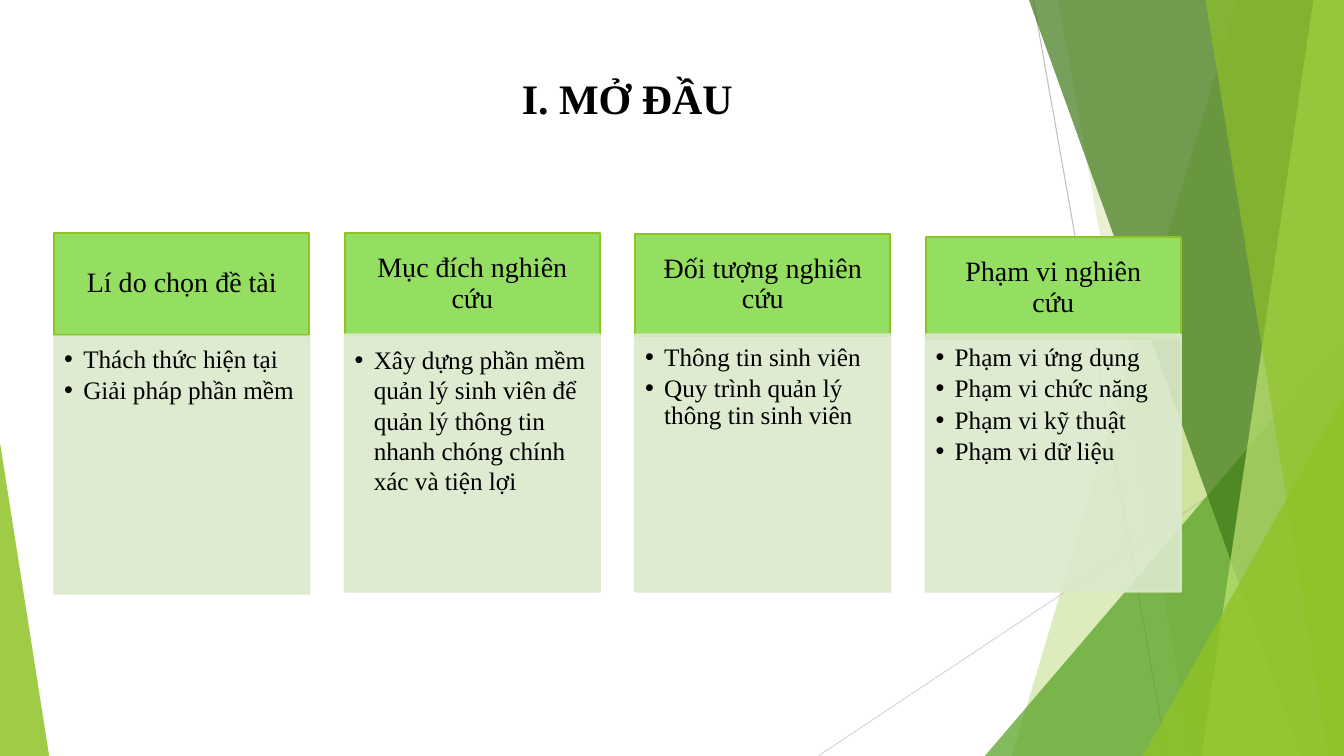
from lxml import etree
from pptx import Presentation
from pptx import util as u
from pptx.dml import color
from pptx.enum import shapes, text
from pptx.oxml import ns

WIDTH, HEIGHT = 33.87, 19.05
FONT = "Times New Roman"
COLORS = {
    "black": "000000", "lime": "90C226", "leaf": "54A021", "forest": "3F7819",
    "pale": "C0E474", "header": "94DE61", "body": "DBE9CD",
    "gray": "BFBFBF", "light_gray": "D9D9D9",
}

# Background facets, back to front.
# band: x at the top, x at the bottom; corner: left, top, width, apex position
FACETS = [
    ("band", (31.19, 25.5), "lime", 30),
    ("band", (26.67, 30.05), "lime", 20),
    ("corner", (24.82, 8.46, 9.05, 1), "leaf", 72),
    ("band", (25.93, 32.79), "forest", 70),
    ("band", (33.1, 30.28), "pale", 70),
    ("band", (30.38, 33.48), "lime", 65),
    ("corner", (28.8, 9.98, 5.07, 1), "lime", 80),
    ("corner", (0, 11.15, 1.24, 0), "lime", 85),
]

# Cards: heading, heading top, body top, line spacing, bullets
CARDS = [
    ("Lí do chọn đề tài", 5.87, 8.48, 0.9,
     ["Thách thức hiện tại", "Giải pháp phần mềm"]),
    ("Mục đích nghiên cứu", 5.87, 8.43, 1.0,
     ["Xây dựng phần mềm quản lý sinh viên để quản lý thông tin nhanh "
      "chóng chính xác và tiện lợi"]),
    ("Đối tượng nghiên cứu", 5.89, 8.43, 0.9,
     ["Thông tin sinh viên", "Quy trình quản lý thông tin sinh viên"]),
    ("Phạm vi nghiên cứu", 5.97, 8.43, 0.9,
     ["Phạm vi ứng dụng", "Phạm vi chức năng", "Phạm vi kỹ thuật",
      "Phạm vi dữ liệu"]),
]
CARD_LEFT, CARD_PITCH, CARD_WIDTH = 1.37, 7.32, 6.43
HEADER_HEIGHT, BODY_HEIGHT = 2.57, 6.48


def rgb(name):
    return color.RGBColor.from_string(COLORS[name])


def paint(s, fill, line=None, opacity=100):
    s.shadow.inherit = False
    s.fill.solid()
    s.fill.fore_color.rgb = rgb(fill)
    if line:
        s.line.color.rgb = rgb(line)
        s.line.width = u.Pt(1.5)
    else:
        s.line.fill.background()
    if opacity < 100:
        for clr in s._element.spPr.iter(ns.qn("a:srgbClr")):
            etree.SubElement(clr, ns.qn("a:alpha"), val=str(opacity * 1000))


def add_hairline(slide, x1, y1, x2, y2, name):
    s = slide.shapes.add_connector(
        shapes.MSO_CONNECTOR.STRAIGHT, u.Cm(x1), u.Cm(y1), u.Cm(x2), u.Cm(y2))
    s.line.color.rgb = rgb(name)
    s.line.width = u.Pt(0.75)
    etree.SubElement(s._element.spPr, ns.qn("a:effectLst"))


def add_band(slide, top_x, bottom_x):
    """Four-sided band that reaches the right edge of the slide."""
    builder = slide.shapes.build_freeform(u.Cm(top_x), 0)
    corners = [(WIDTH, 0), (WIDTH, HEIGHT), (bottom_x, HEIGHT)]
    builder.add_line_segments([(u.Cm(x), u.Cm(y)) for x, y in corners])
    return builder.convert_to_shape()


def add_corner(slide, left, top, width, apex):
    """Triangle that stands on the bottom edge of the slide."""
    s = slide.shapes.add_shape(
        shapes.MSO_SHAPE.ISOSCELES_TRIANGLE,
        u.Cm(left), u.Cm(top), u.Cm(width), u.Cm(HEIGHT - top))
    s.adjustments[0] = apex
    return s


def add_box(slide, left, top, height, fill, line, opacity, anchor, insets):
    s = slide.shapes.add_shape(
        shapes.MSO_SHAPE.RECTANGLE,
        u.Cm(left), u.Cm(top), u.Cm(CARD_WIDTH), u.Cm(height))
    paint(s, fill, line, opacity)
    tf = s.text_frame
    tf.word_wrap = True
    tf.vertical_anchor = anchor
    tf.margin_left, tf.margin_top, tf.margin_right, tf.margin_bottom = (
        u.Cm(inset) for inset in insets)
    return tf


def add_run(p, words, size, bold=False):
    r = p.add_run()
    r.text = words
    r.font.name = FONT
    r.font.size = u.Pt(size)
    r.font.bold = bold
    r.font.color.rgb = rgb("black")


def add_bullet(p, words, spacing):
    p.alignment = text.PP_ALIGN.LEFT
    p.line_spacing = spacing
    p.space_after = u.Pt(3)
    pPr = p._p.get_or_add_pPr()
    pPr.set("marL", str(u.Cm(0.48)))
    pPr.set("indent", str(u.Cm(-0.48)))
    etree.SubElement(pPr, ns.qn("a:buFont"), typeface="Arial")
    etree.SubElement(pPr, ns.qn("a:buChar"), char="•")
    add_run(p, words, 18)


def add_card(slide, left, heading, header_top, body_top, spacing, bullets):
    tf = add_box(slide, left, header_top, HEADER_HEIGHT, "header", "lime", 100,
                 text.MSO_ANCHOR.MIDDLE, (0.41, 0.23, 0.41, 0.23))
    p = tf.paragraphs[0]
    p.alignment = text.PP_ALIGN.CENTER
    p.line_spacing = 0.9
    add_run(p, heading, 20)

    tf = add_box(slide, left, body_top, BODY_HEIGHT, "body", "body", 90,
                 text.MSO_ANCHOR.TOP, (0.25, 0.25, 0.36, 0.41))
    for i, words in enumerate(bullets):
        p = tf.add_paragraph() if i else tf.paragraphs[0]
        add_bullet(p, words, spacing)


def set_title(slide, words):
    s = slide.shapes.title
    s.left, s.top, s.width, s.height = (
        u.Cm(v) for v in (1.88, 1.7, 27.86, 3.12))
    tf = s.text_frame
    tf.vertical_anchor = text.MSO_ANCHOR.TOP
    p = tf.paragraphs[0]
    p.alignment = text.PP_ALIGN.CENTER
    add_run(p, words, 30, bold=True)


def main():
    prs = Presentation()
    prs.slide_width, prs.slide_height = u.Cm(WIDTH), u.Cm(HEIGHT)
    slide = prs.slides.add_slide(prs.slide_layouts.get_by_name("Title Only"))

    # Background
    add_hairline(slide, 26.04, 0, 29.41, HEIGHT, "gray")
    add_hairline(slide, WIDTH, 10.24, 20.62, HEIGHT, "light_gray")
    makers = {"band": add_band, "corner": add_corner}
    for kind, geometry, fill, opacity in FACETS:
        paint(makers[kind](slide, *geometry), fill, opacity=opacity)

    # Content
    set_title(slide, "I. MỞ ĐẦU")
    for i, card in enumerate(CARDS):
        add_card(slide, CARD_LEFT + i * CARD_PITCH, *card)

    prs.save("out.pptx")


if __name__ == "__main__":
    main()
